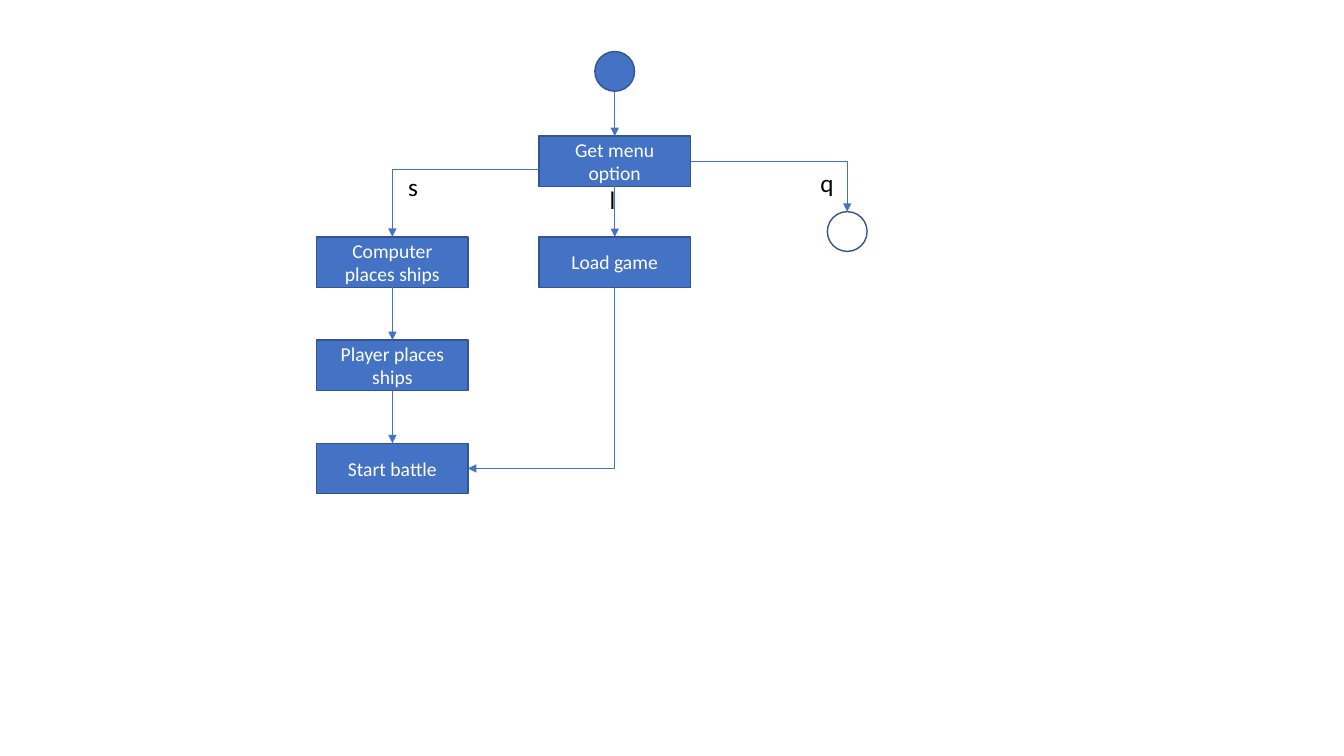
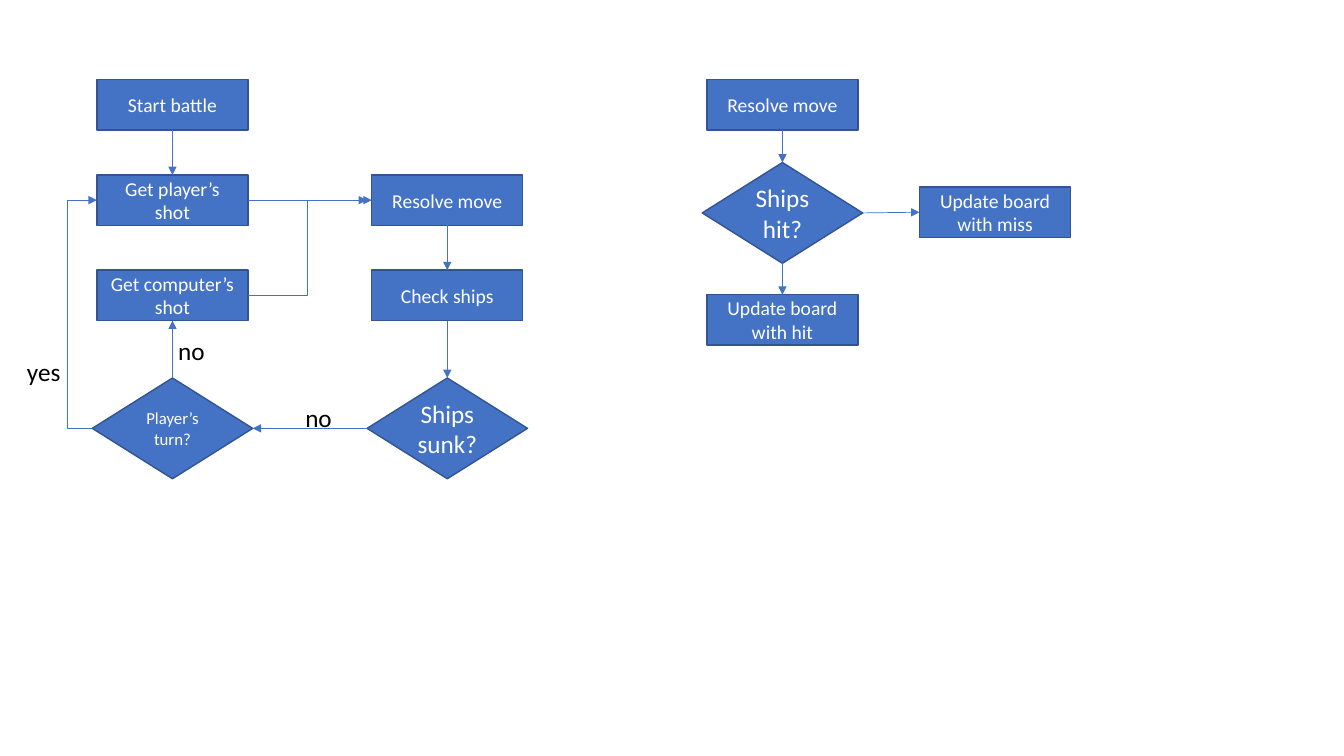
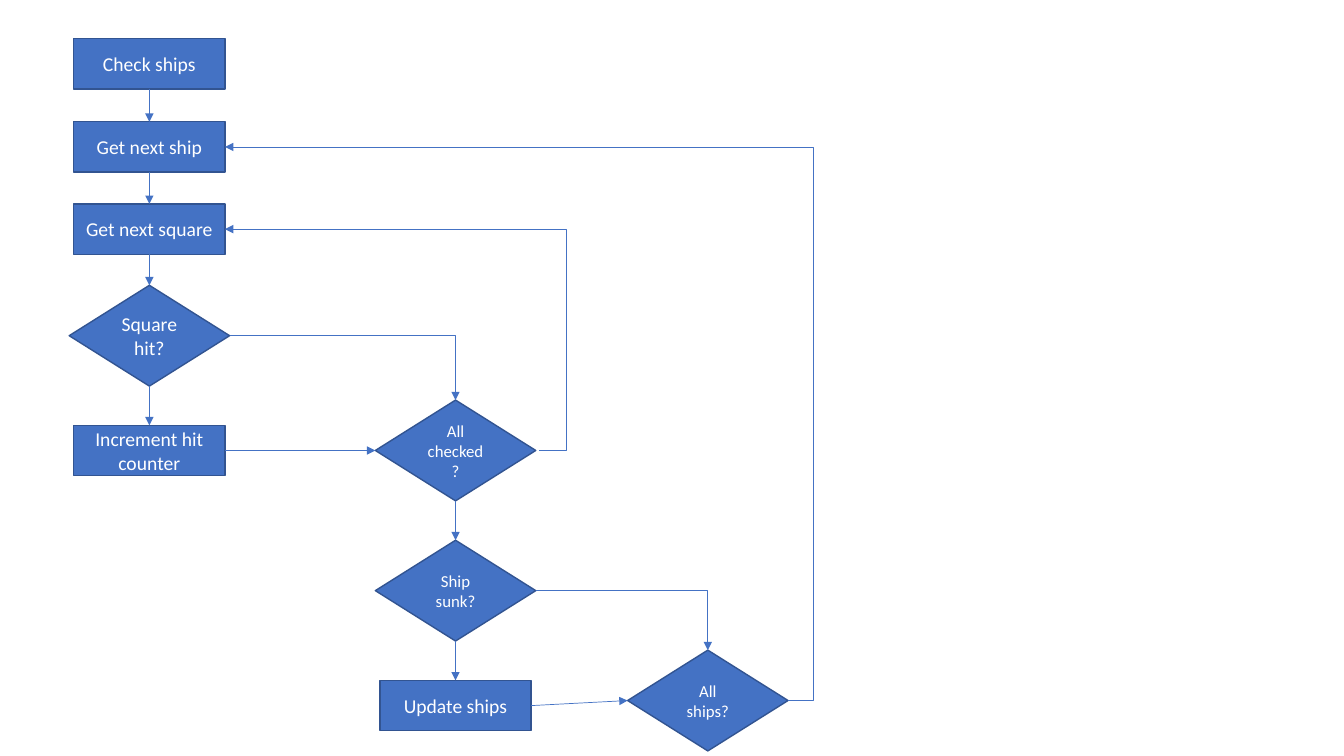
from lxml.etree import SubElement
from pptx import Presentation
from pptx.dml.color import RGBColor
from pptx.enum.shapes import MSO_CONNECTOR, MSO_SHAPE
from pptx.enum.text import MSO_ANCHOR, MSO_AUTO_SIZE, PP_ALIGN
from pptx.oxml.ns import qn
from pptx.util import Pt

BLUE, DARK_BLUE, WHITE, BLACK = "4472C4", "325491", "FFFFFF", "000000"
FONT = "Calibri"
KINDS = {
    "step": (MSO_SHAPE.RECTANGLE, 108, 36),
    "choice": (MSO_SHAPE.DIAMOND, 114.6, 72),
    "start": (MSO_SHAPE.OVAL, 28.4, 28.4),
    "end": (MSO_SHAPE.OVAL, 28.4, 28.4),
}
SIDES = {"top": (0, -1), "left": (-1, 0), "bottom": (0, 1), "right": (1, 0)}
SITES = list(SIDES)

# name: (kind, text, text size, centre x, centre y)
MENU = {
    "nodes": {
        "start": ("start", "", 14, 439.1, 51),
        "menu": ("step", "Get menu option", 14, 439.1, 115.2),
        "computer": ("step", "Computer places ships", 14, 280.3, 187.2),
        "player": ("step", "Player places ships", 14, 280.3, 260.9),
        "battle": ("step", "Start battle", 14, 280.3, 334.6),
        "quit": ("end", "", 14, 605.2, 165.4),
        "load": ("step", "Load game", 14, 439.1, 187.2),
    },
    "links": [
        (("start", "bottom"), ("menu", "top")),
        (("menu", "bottom"), ("load", "top")),
        (("computer", "bottom"), ("player", "top")),
        (("player", "bottom"), ("battle", "top")),
        (("load", "bottom"), ("battle", "right")),
        (("menu", "left", 0, 5.8), ("computer", "top")),
        (("menu", "right"), ("quit", "top")),
    ],
    "labels": [("s", 284.4, 118.8, 21.6), ("l", 428.4, 128.2, 18.7), ("q", 578.9, 115.9, 24.5)],
}
BATTLE = {
    "nodes": {
        "battle": ("step", "Start battle", 14, 123.2, 75),
        "player": ("step", "Get player’s shot", 14, 123.2, 143),
        "resolve": ("step", "Resolve move", 14, 319.5, 143),
        "check": ("step", "Check ships", 14, 319.5, 211),
        "sunk": ("choice", "Ships sunk?", 18, 319.5, 306),
        "computer": ("step", "Get computer’s shot", 14, 123.2, 211),
        "turn": ("choice", "Player’s turn?", 12, 123.2, 306),
        "move": ("step", "Resolve move", 14, 558.9, 75),
        "hit": ("step", "Update board with hit", 14, 558.9, 228.5),
        "question": ("choice", "Ships hit?", 18, 558.9, 152.1),
        "miss": ("step", "Update board with miss", 14, 710.8, 151.6),
    },
    "links": [
        (("battle", "bottom"), ("player", "top")),
        (("player", "right"), ("resolve", "left")),
        (("resolve", "bottom"), ("check", "top")),
        (("check", "bottom"), ("sunk", "top")),
        (("sunk", "left"), ("turn", "right")),
        (("turn", "top"), ("computer", "bottom")),
        (("turn", "left"), ("player", "left"), 48.2),
        (("computer", "right"), ("resolve", "left", -3.4, 0), 219.6),
        (("move", "bottom"), ("question", "top")),
        (("question", "bottom"), ("hit", "top")),
        (("question", "right"), ("miss", "left")),
    ],
    "labels": [("no", 211, 283.7, 33.8), ("no", 120.2, 236.2, 33.8), ("yes", 12.2, 250.6, 38.9)],
}
CHECK = {
    "nodes": {
        "check": ("step", "Check ships", 14, 106.7, 45.6),
        "ship": ("step", "Get next ship", 14, 106.7, 105),
        "counter": ("step", "Increment hit counter", 14, 106.7, 321.8),
        "hit": ("choice", "Square hit?", 14, 106.7, 239.8),
        "square": ("step", "Get next square", 14, 106.7, 163.7),
        "checked": ("choice", "All checked?", 12, 325.4, 321.8),
        "sunk": ("choice", "Ship sunk?", 12, 325.4, 421.9),
        "update": ("step", "Update ships", 14, 325.4, 504),
        "all": ("choice", "All ships?", 12, 505.6, 500.4),
    },
    "links": [
        (("check", "bottom"), ("ship", "top")),
        (("ship", "bottom"), ("square", "top")),
        (("square", "bottom"), ("hit", "top")),
        (("hit", "bottom"), ("counter", "top")),
        (("counter", "right"), ("checked", "left")),
        (("hit", "right"), ("checked", "top")),
        (("checked", "right", 2.5, 0), ("square", "right"), 404.5),
        (("checked", "bottom"), ("sunk", "top")),
        (("sunk", "bottom"), ("update", "top")),
        (("update", "right"), ("all", "left")),
        (("sunk", "right"), ("all", "top")),
        (("all", "right"), ("ship", "right"), 581.1),
    ],
    "labels": [],
}


def color(value):
    return RGBColor.from_string(value)


def write(frame, text, size, text_color):
    paragraph = frame.paragraphs[0]
    paragraph.text = text
    paragraph.font.name = FONT
    paragraph.font.size = Pt(size)
    paragraph.font.color.rgb = color(text_color)
    return paragraph


def add_node(slide, kind, text, size, center_x, center_y):
    preset, width, height = KINDS[kind]
    shape = slide.shapes.add_shape(
        preset, Pt(center_x - width / 2), Pt(center_y - height / 2), Pt(width), Pt(height))
    shape.shadow.inherit = False
    if kind == "end":
        shape.fill.background()
    else:
        shape.fill.solid()
        shape.fill.fore_color.rgb = color(BLUE)
    shape.line.color.rgb = color(DARK_BLUE)
    shape.line.width = Pt(1)
    if text:
        shape.text_frame.vertical_anchor = MSO_ANCHOR.MIDDLE
        shape.text_frame.word_wrap = True
        write(shape.text_frame, text, size, WHITE).alignment = PP_ALIGN.CENTER
    return shape


def end_point(nodes, name, side, offset_x=0, offset_y=0):
    kind, _, _, center_x, center_y = nodes[name]
    _, width, height = KINDS[kind]
    step_x, step_y = SIDES[side]
    return center_x + step_x * width / 2 + offset_x, center_y + step_y * height / 2 + offset_y


def quarter_turn_back(point, center):
    return center[0] + point[1] - center[1], center[1] - point[0] + center[0]


def add_link(slide, nodes, shapes, start, end, bend=None):
    begin, finish = end_point(nodes, *start), end_point(nodes, *end)
    leaves_sideways = start[1] in ("left", "right")
    corner = leaves_sideways != (end[1] in ("left", "right"))
    turned = corner and not leaves_sideways
    bent = corner or bend is not None
    if turned:
        center = ((begin[0] + finish[0]) / 2, (begin[1] + finish[1]) / 2)
        begin, finish = (quarter_turn_back(point, center) for point in (begin, finish))

    connector = slide.shapes.add_connector(
        MSO_CONNECTOR.ELBOW if bent else MSO_CONNECTOR.STRAIGHT,
        *(Pt(length) for length in begin + finish))
    connector.line.color.rgb = color(BLUE)
    connector.line.width = Pt(0.5)
    properties = connector._element.spPr
    geometry = properties.find(qn("a:prstGeom"))
    if corner:
        geometry.set("prst", "bentConnector2")
    elif bent:
        share = (bend - begin[0]) / (finish[0] - begin[0])
        guides = geometry.find(qn("a:avLst"))
        SubElement(guides, qn("a:gd"), name="adj1", fmla=f"val {round(share * 100000)}")
    if turned:
        properties.find(qn("a:xfrm")).set("rot", "5400000")
    if not bent and nodes[start[0]][0] != "start":
        connector.begin_connect(shapes[start[0]], SITES.index(start[1]))
        connector.end_connect(shapes[end[0]], SITES.index(end[1]))
    SubElement(properties.find(qn("a:ln")), qn("a:tailEnd"), type="triangle")
    SubElement(properties, qn("a:effectLst"))


def add_label(slide, text, left, top, width):
    label = slide.shapes.add_textbox(Pt(left), Pt(top), Pt(width), Pt(29))
    label.text_frame.word_wrap = False
    label.text_frame.auto_size = MSO_AUTO_SIZE.SHAPE_TO_FIT_TEXT
    write(label.text_frame, text, 18, BLACK)


presentation = Presentation()
presentation.slide_width, presentation.slide_height = Pt(960), Pt(540)
for chart in (MENU, BATTLE, CHECK):
    slide = presentation.slides.add_slide(presentation.slide_layouts[6])
    nodes = chart["nodes"]
    shapes = {name: add_node(slide, *node) for name, node in nodes.items()}
    for link in chart["links"]:
        add_link(slide, nodes, shapes, *link)
    for label in chart["labels"]:
        add_label(slide, *label)
presentation.save("out.pptx")
